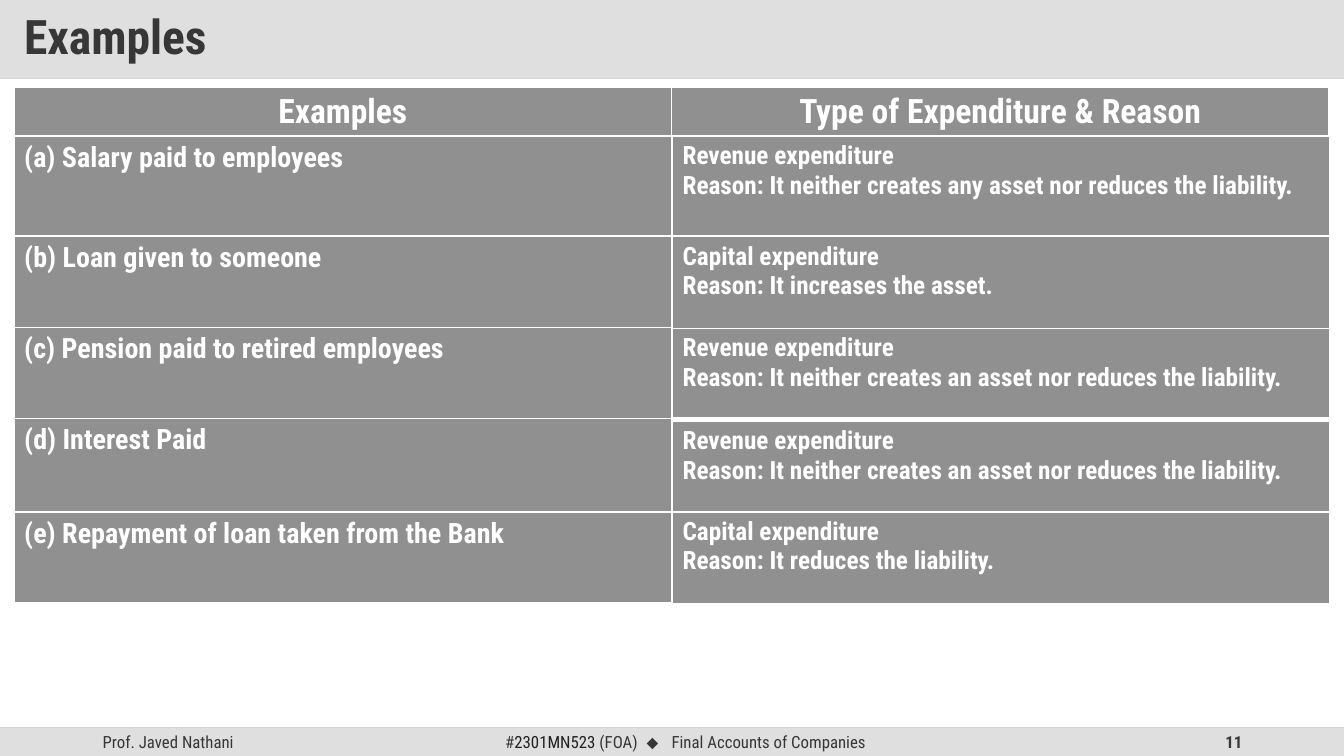
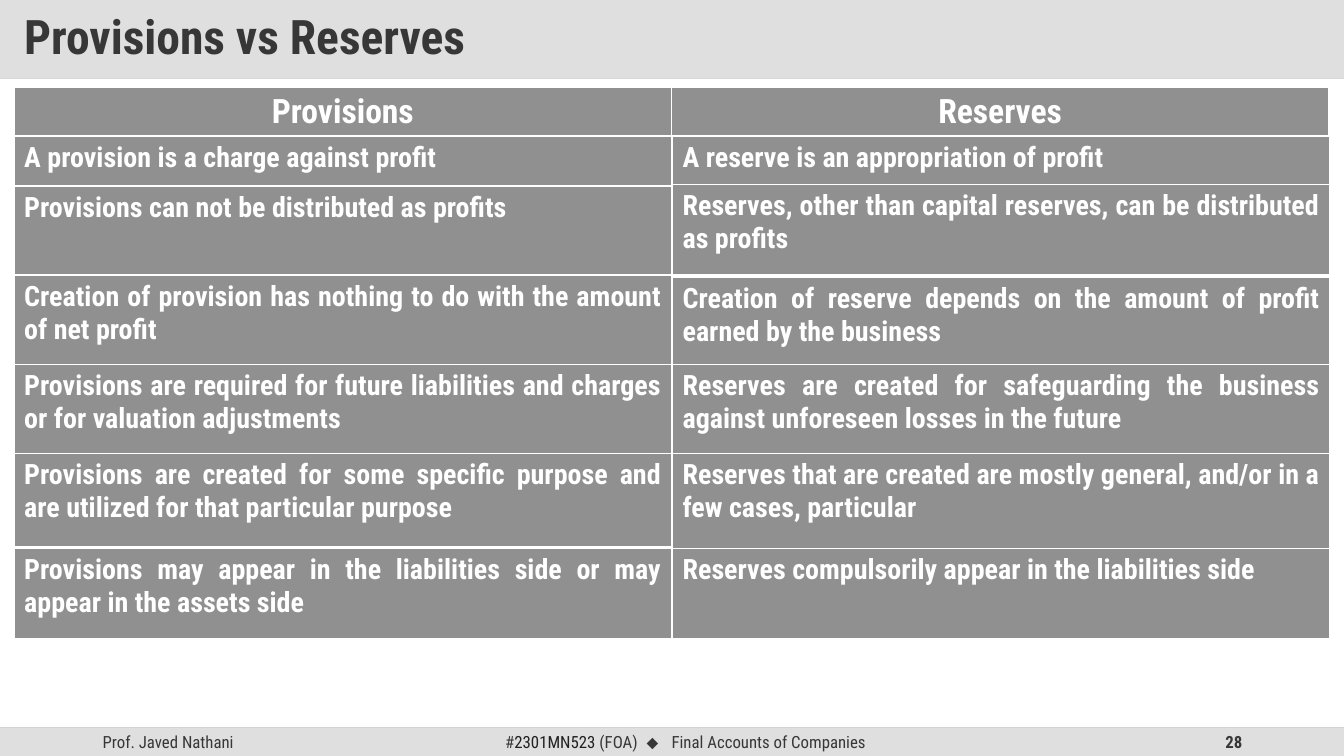
import pptx
import pptx.util
import pptx.dml.color
import pptx.enum.shapes
import pptx.enum.text
from lxml import etree
from pptx.oxml.ns import qn

Inches = pptx.util.Inches
Pt = pptx.util.Pt
RGBColor = pptx.dml.color.RGBColor
ALIGN = pptx.enum.text.PP_ALIGN
ANCHOR = pptx.enum.text.MSO_ANCHOR

WHITE = RGBColor(0xFF, 0xFF, 0xFF)
INK = RGBColor(0x37, 0x37, 0x37)
CODE_INK = RGBColor(0x21, 0x21, 0x21)
CELL_GRAY = RGBColor(0x90, 0x90, 0x90)
TITLE_GRAY = RGBColor(0xC0, 0xC0, 0xC0)
FOOTER_GRAY = RGBColor(0xDF, 0xDF, 0xDF)
TITLE_RULE = RGBColor(0xD9, 0xD9, 0xD9)
FOOTER_RULE = RGBColor(0xBF, 0xBF, 0xBF)

FONT = "Roboto Condensed"
SLIDE_W = 13.33
TITLE_H = 0.78
FOOTER_TOP = 7.22
FOOTER_H = 0.28
COL_W = 6.52
COL_LEFTS = (0.14, 6.67)
HEADER_TOP = 0.87


class Deck:
    def __init__(self):
        self.prs = pptx.Presentation()
        self.prs.slide_width = Inches(SLIDE_W)
        self.prs.slide_height = Inches(7.5)
        self.s = None

    def slide(self, title, number):
        self.s = self.prs.slides.add_slide(self.prs.slide_layouts[5])
        self.rule(TITLE_H, TITLE_RULE)
        self.rule(FOOTER_TOP, FOOTER_RULE, 70)
        self.title(title)
        self.footer(number)

    def style(self, p, size, color, bold=False, align=ALIGN.LEFT):
        p.alignment = align
        p.font.name = FONT
        p.font.size = Pt(size)
        p.font.bold = bold
        p.font.color.rgb = color

    def fade(self, element, percent):
        for color in element.iter(qn("a:srgbClr")):
            etree.SubElement(color, qn("a:alpha"), val=str(percent * 1000))

    def rule(self, top, color, opacity=100):
        line = self.s.shapes.add_connector(
            pptx.enum.shapes.MSO_CONNECTOR.STRAIGHT,
            Inches(0), Inches(top), Inches(SLIDE_W), Inches(top))
        line.line.color.rgb = color
        line.line.width = Pt(1)
        sp_pr = line._element.spPr
        if opacity < 100:
            self.fade(sp_pr, opacity)
        etree.SubElement(sp_pr, qn("a:effectLst"))

    def title(self, text):
        sp = self.s.shapes.title
        sp.left, sp.top = Inches(0), Inches(0)
        sp.width, sp.height = Inches(SLIDE_W), Inches(TITLE_H)
        sp.fill.solid()
        sp.fill.fore_color.rgb = TITLE_GRAY
        self.fade(sp._element.spPr, 50)
        tf = sp.text_frame
        tf.text = text
        tf.auto_size = pptx.enum.text.MSO_AUTO_SIZE.NONE
        tf.vertical_anchor = ANCHOR.MIDDLE
        tf.margin_left = tf.margin_right = Inches(0.24)
        tf.margin_top = tf.margin_bottom = Inches(0.12)
        p = tf.paragraphs[0]
        p.line_spacing = 0.9
        self.style(p, 34, INK, True)

    def footer_text(self, left, width, align, bold=False, text=""):
        sp = self.s.shapes.add_textbox(
            Inches(left), Inches(FOOTER_TOP), Inches(width), Inches(FOOTER_H))
        tf = sp.text_frame
        tf.word_wrap = True
        tf.vertical_anchor = ANCHOR.MIDDLE
        tf.text = text
        p = tf.paragraphs[0]
        self.style(p, 12, INK, bold, align)
        return p

    def footer(self, number):
        band = self.s.shapes.add_shape(
            pptx.enum.shapes.MSO_SHAPE.RECTANGLE,
            Inches(0), Inches(FOOTER_TOP), Inches(SLIDE_W), Inches(FOOTER_H))
        band.shadow.inherit = False
        band.fill.solid()
        band.fill.fore_color.rgb = FOOTER_GRAY
        band.line.fill.background()
        self.footer_text(0.92, 3, ALIGN.LEFT, text="Prof. Javed Nathani")
        self.footer_text(9.42, 3, ALIGN.RIGHT, True, str(number))
        p = self.footer_text(4.18, 5.24, ALIGN.CENTER)
        hash_mark, code, course, diamond, subject = [p.add_run() for _ in range(5)]
        hash_mark.text = "#"
        code.text = "2301MN523 "
        code.font.color.rgb = CODE_INK
        course.text = "(FOA)"
        diamond.text = " ⬥ "
        diamond.font.name = "Arial"
        diamond._r.get_or_add_rPr().set("spc", "300")
        subject.text = "Final Accounts of Companies"

    def borders(self, cell):
        tc_pr = cell._tc.get_or_add_tcPr()
        for side, width in (("L", 1), ("R", 1), ("T", 1), ("B", 3)):
            ln = etree.SubElement(tc_pr, qn("a:ln" + side), w=str(Pt(width)))
            fill = etree.SubElement(ln, qn("a:solidFill"))
            etree.SubElement(fill, qn("a:srgbClr"), val=str(WHITE))

    def table(self, left, top, height, texts, size, align):
        frame = self.s.shapes.add_table(
            1, len(texts), Inches(left), Inches(top),
            Inches(COL_W * len(texts)), Inches(height))
        for cell, text in zip(frame.table.rows[0].cells, texts):
            self.borders(cell)
            cell.fill.solid()
            cell.fill.fore_color.rgb = CELL_GRAY
            cell.text = text
            for p in cell.text_frame.paragraphs:
                self.style(p, size, WHITE, True, align)

    def header(self, *texts):
        self.table(COL_LEFTS[0], HEADER_TOP, 0.5, texts, 24, ALIGN.CENTER)

    def column(self, index, rows, size, align):
        for top, height, text in rows:
            self.table(COL_LEFTS[index], top, height, [text], size, align)


EXAMPLES = [
    (1.35, 1, "(a) Salary paid to employees"),
    (2.35, 1, "(b) Loan given to someone"),
    (3.25, 1, "(c) Pension paid to retired employees"),
    (4.15, 0.94, "(d) Interest Paid"),
    (5.08, 0.91, "(e) Repayment of loan taken from the Bank"),
]
REASONS = [
    (1.35, 1, "Revenue", "neither creates any asset nor reduces the liability"),
    (2.35, 0.92, "Capital", "increases the asset"),
    (3.26, 0.9, "Revenue", "neither creates an asset nor reduces the liability"),
    (4.18, 0.92, "Revenue", "neither creates an asset nor reduces the liability"),
    (5.08, 0.92, "Capital", "reduces the liability"),
]
PROVISIONS = [
    (1.35, 0.5, "A provision is a charge against profit"),
    (1.85, 0.89, "Provisions can not be distributed as profits"),
    (2.73, 0.93, "Creation of provision has nothing to do with the amount of net profit"),
    (3.62, 0.98, "Provisions are required for future liabilities and charges "
                 "or for valuation adjustments"),
    (4.5, 0.94, "Provisions are created for some specific purpose "
                "and are utilized for that particular purpose"),
    (5.44, 0.91, "Provisions may appear in the liabilities side "
                 "or may appear in the assets side"),
]
RESERVES = [
    (1.35, 0.51, "A reserve is an appropriation of profit"),
    (1.83, 0.91, "Reserves, other than capital reserves, can be distributed as profits"),
    (2.75, 0.91, "Creation of reserve depends on the amount of profit "
                 "earned by the business"),
    (3.62, 0.9, "Reserves are created for safeguarding the business "
                "against unforeseen losses in the future"),
    (4.5, 0.95, "Reserves that are created are mostly general, "
                "and/or in a few cases, particular"),
    (5.44, 0.91, "Reserves compulsorily appear in the liabilities side"),
]


def main():
    deck = Deck()

    deck.slide("Examples", 11)
    deck.header("Examples", "Type of Expenditure & Reason")
    deck.column(0, EXAMPLES, 20, ALIGN.LEFT)
    answers = [(top, height, f"{kind} expenditure\nReason: It {reason}.")
               for top, height, kind, reason in REASONS]
    deck.column(1, answers, 18, ALIGN.LEFT)

    deck.slide("Provisions vs Reserves", 28)
    deck.header("Provisions", "Reserves")
    deck.column(0, PROVISIONS, 20, ALIGN.JUSTIFY)
    deck.column(1, RESERVES, 20, ALIGN.JUSTIFY)

    deck.prs.save("out.pptx")


if __name__ == "__main__":
    main()
